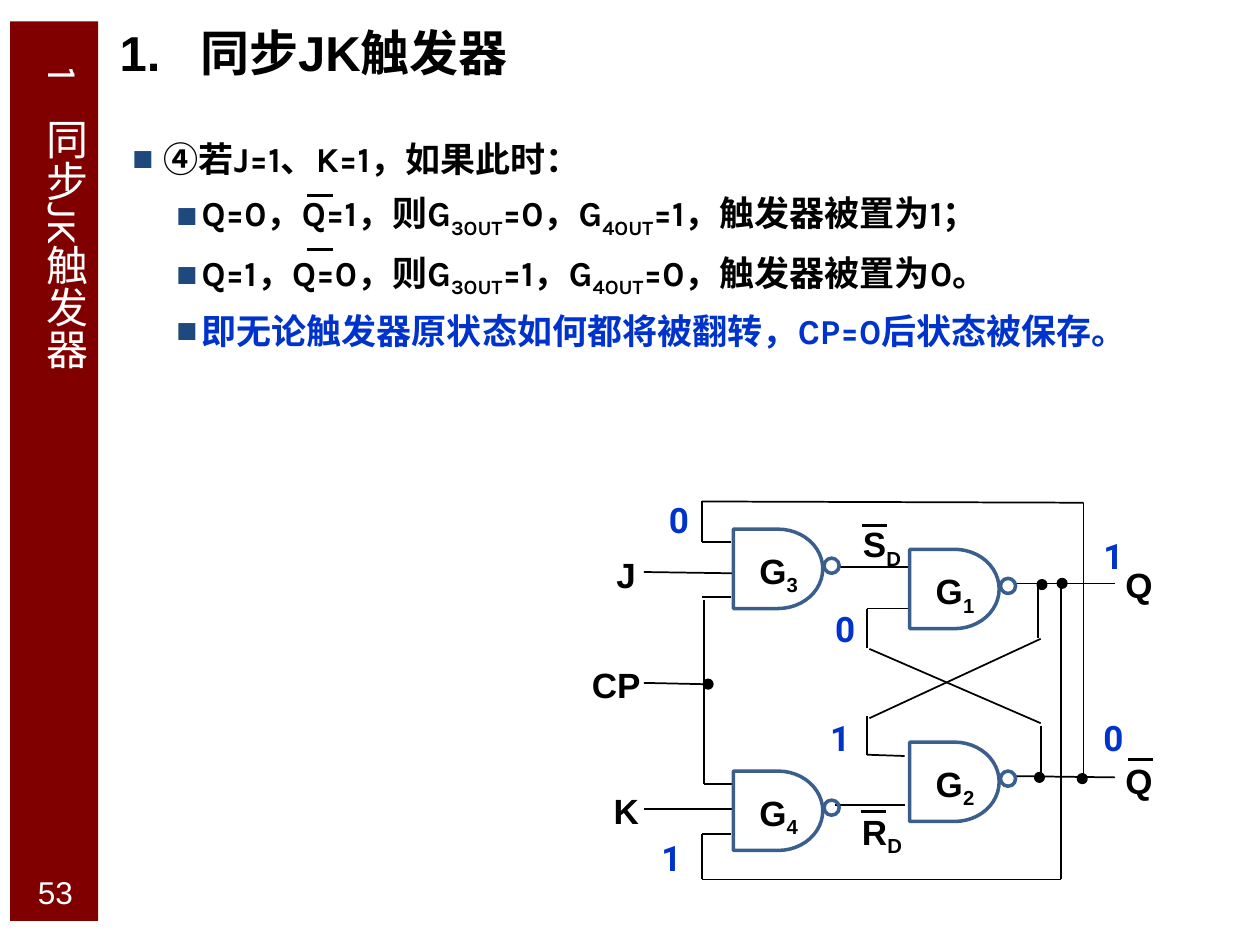
from lxml.etree import SubElement
from pptx import Presentation
from pptx.dml.color import RGBColor
from pptx.enum.shapes import MSO_CONNECTOR, MSO_SHAPE as Shape
from pptx.enum.text import MSO_ANCHOR, MSO_AUTO_SIZE, PP_ALIGN as Align
from pptx.oxml.ns import qn
from pptx.util import Inches, Pt

BLACK = RGBColor(0x00, 0x00, 0x00)
WHITE = RGBColor(0xFF, 0xFF, 0xFF)
MAROON = RGBColor(0x80, 0x00, 0x00)
BLUE = RGBColor(0x00, 0x33, 0xCC)
GATE_BLUE = RGBColor(0x3A, 0x5F, 0x8C)
BULLET = "1F497D"

# Text runs are separated by "|"; every second run is a subscript.
TITLE = "1.\t同步JK触发器"
SIDEBAR = "1\t同步JK触发器"
PAGE = "53"
BODY = [  # level, text, colour
    (0, "④若J=1、K=1，如果此时：", BLACK),
    (1, "Q=0，Q=1，则G|3OUT|=0，G|4OUT|=1，触发器被置为1；", BLACK),
    (1, "Q=1，Q=0，则G|3OUT|=1，G|4OUT|=0，触发器被置为0。", BLACK),
    (1, "即无论触发器原状态如何都将被翻转，CP=0后状态被保存。", BLUE),
]
INDENTS = [(0.3, -0.25), (0.6, -0.2)]

GATES = [("G|1", 7.22, 4.36), ("G|2", 7.22, 5.89),
         ("G|3", 5.82, 4.2), ("G|4", 5.82, 6.12)]
SIGNALS = [("J", 4.65, 4.34), ("CP", 4.57, 5.22), ("K", 4.65, 6.22),
           ("Q", 8.72, 4.42), ("Q", 8.72, 5.98),
           ("S|D", 6.68, 4.1), ("R|D", 6.68, 6.38)]
STATES = [("1", 8.66, 4.19), ("0", 8.66, 5.64), ("1", 6.49, 5.64),
          ("1", 5.15, 6.59), ("0", 6.53, 4.77), ("0", 5.21, 3.91)]
OVERBARS = [(2.44, 1.55), (2.44, 1.98), (6.84, 4.17), (6.83, 6.44), (8.95, 6.03)]
BAR_WIDTH = 0.2
WIRES = [  # each wire is a chain of points
    [(5.11, 4.54), (5.82, 4.55)],                              # J
    [(5.11, 6.42), (5.82, 6.42)],                              # K
    [(5.11, 5.42), (5.58, 5.43)],                              # CP
    [(5.57, 4.74), (5.8, 4.74)],
    [(5.59, 4.76), (5.59, 6.22), (5.82, 6.22)],
    [(6.67, 4.5), (7.22, 4.5)],                                # G3 to G1
    [(6.63, 6.39), (7.18, 6.39)],                              # G4 to G2
    [(8.06, 4.63), (8.85, 4.63)],                              # outputs
    [(8.06, 6.16), (8.85, 6.17)],
    [(7.22, 4.83), (6.88, 4.83), (6.88, 5.14)],                # cross coupling
    [(6.9, 5.15), (8.26, 5.74)],
    [(8.26, 5.76), (8.26, 6.15)],
    [(8.24, 4.63), (8.24, 5.06)],
    [(8.26, 5.07), (6.9, 5.7)],
    [(6.88, 5.68), (6.88, 5.99), (7.18, 6)],
    [(5.8, 4.3), (5.57, 4.3), (5.57, 3.98), (8.6, 3.99), (8.6, 6.15)],  # feedback
    [(5.8, 6.62), (5.57, 6.62), (5.57, 6.98), (8.42, 6.98), (8.42, 4.66)],
]
JUNCTIONS = [(8.24, 4.61), (8.4, 4.6), (8.22, 6.14), (8.56, 6.15), (5.59, 5.4)]


def place(sp, x, y, w, h):
    sp.left, sp.top, sp.width, sp.height = map(Inches, (x, y, w, h))


def add_runs(p, text, size, font, color, bold=True):
    for i, part in enumerate(text.split("|")):
        r = p.add_run()
        r.text = part
        r.font.size, r.font.name, r.font.bold = Pt(size), font, bold
        r.font.color.rgb = color
        if i % 2:
            r.font._element.set("baseline", "-25000")


def add_tab(p, position):
    tabs = SubElement(p._p.get_or_add_pPr(), qn("a:tabLst"))
    SubElement(tabs, qn("a:tab"), pos=str(Inches(position)), algn="l")


def add_bullet(p, level):
    p.level = level
    pPr = p._p.get_or_add_pPr()
    for name, value in zip(("marL", "indent"), INDENTS[level]):
        pPr.set(name, str(Inches(value)))
    SubElement(SubElement(pPr, qn("a:buClr")), qn("a:srgbClr"), val=BULLET)
    SubElement(pPr, qn("a:buFont"), typeface="Arial")
    SubElement(pPr, qn("a:buChar"), char="■")


def add_label(s, text, x, y, w, h, font="Arial", color=BLACK, size=20,
              align=Align.CENTER, bold=True):
    sp = s.shapes.add_textbox(*map(Inches, (x, y, w, h)))
    tf = sp.text_frame
    tf.word_wrap = True
    p = tf.paragraphs[0]
    p.alignment = align
    add_runs(p, text, size, font, color, bold)
    return sp


def add_outline(s, kind, x, y, w, h, fill=None, line=None):
    sp = s.shapes.add_shape(kind, *map(Inches, (x, y, w, h)))
    sp.shadow.inherit = False
    if fill is None:
        sp.fill.background()
    else:
        sp.fill.solid()
        sp.fill.fore_color.rgb = fill
    if line is None:
        sp.line.fill.background()
    else:
        sp.line.color.rgb, sp.line.width = line, Pt(2)


def add_line(s, start, end, width):
    c = s.shapes.add_connector(MSO_CONNECTOR.STRAIGHT, *map(Inches, start + end))
    c.line.color.rgb, c.line.width = BLACK, Pt(width)
    SubElement(c._element.spPr, qn("a:effectLst"))


def add_sidebar(s):
    add_outline(s, Shape.RECTANGLE, 0.08, 0.17, 0.7, 7.14, fill=MAROON)
    page = add_label(s, PAGE, 0.12, 6.9, 0.64, 0.35, color=WHITE, size=18, bold=False)
    page.text_frame.vertical_anchor = MSO_ANCHOR.MIDDLE
    side = add_label(s, SIDEBAR, 0.12, 0.44, 0.65, 6.72, "Karla", WHITE, 24,
                     Align.LEFT, False)
    side.text_frame._txBody.bodyPr.set("vert", "eaVert")
    add_tab(side.text_frame.paragraphs[0], 0.4)


def fill_placeholders(s):
    title, body = s.shapes.title, s.placeholders[1]
    place(title, 0.85, 0.18, 3.32, 0.52)
    place(body, 0.9, 1.01, 9.1, 2.47)
    for sp in (title, body):
        tf = sp.text_frame
        tf.word_wrap, tf.auto_size = True, MSO_AUTO_SIZE.NONE
        tf.vertical_anchor = MSO_ANCHOR.TOP

    p = title.text_frame.paragraphs[0]
    add_tab(p, 0.64)
    p.alignment, p.line_spacing = Align.LEFT, 0.9
    add_runs(p, TITLE, 28, "Arial", BLACK)

    tf = body.text_frame
    for i, (level, text, color) in enumerate(BODY):
        p = tf.add_paragraph() if i else tf.paragraphs[0]
        add_bullet(p, level)
        p.line_spacing, p.space_before = 1.1, Pt(4 if i else 0)
        add_runs(p, text, 20, "Karla", color)


def add_circuit(s):
    for wire in WIRES:
        for start, end in zip(wire, wire[1:]):
            add_line(s, start, end, 1)
    for text, x, y in GATES:
        add_outline(s, Shape.FLOWCHART_DELAY, x, y, 0.71, 0.63, line=GATE_BLUE)
        add_outline(s, Shape.OVAL, x + 0.72, y + 0.23, 0.12, 0.12, line=GATE_BLUE)
        add_label(s, text, x + 0.04, y + 0.11, 0.64, 0.4)
    for x, y in JUNCTIONS:
        add_outline(s, Shape.OVAL, x, y, 0.06, 0.06, BLACK, BLACK)
    for text, x, y in SIGNALS:
        add_label(s, text, x, y, 0.64, 0.4)
    for text, x, y in STATES:
        add_label(s, text, x, y, 0.44, 0.44, "Roboto", BLUE, align=Align.LEFT)
    for x, y in OVERBARS:
        add_line(s, (x, y), (x + BAR_WIDTH, y), 1.5)


def main():
    prs = Presentation()
    prs.slide_width, prs.slide_height = Inches(10), Inches(7.5)
    s = prs.slides.add_slide(prs.slide_layouts[1])
    add_sidebar(s)
    fill_placeholders(s)
    add_circuit(s)
    prs.save("out.pptx")


if __name__ == "__main__":
    main()
